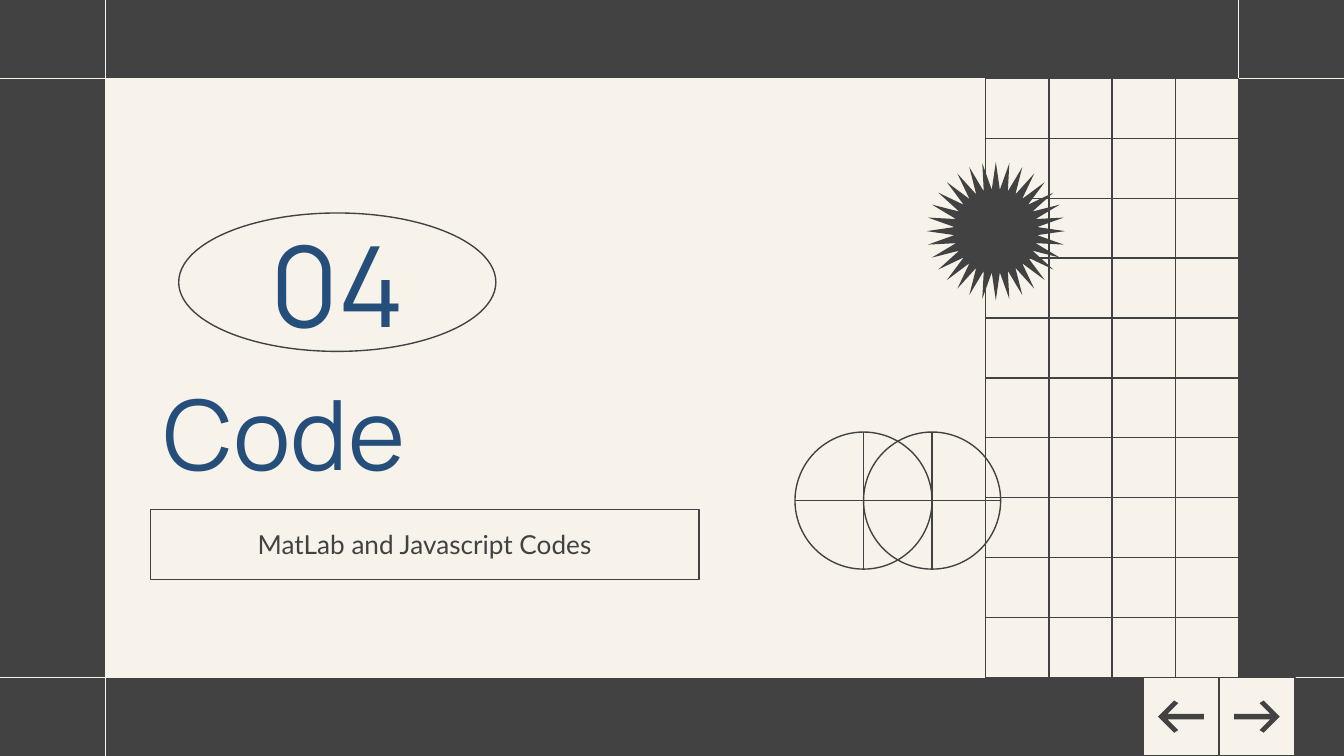
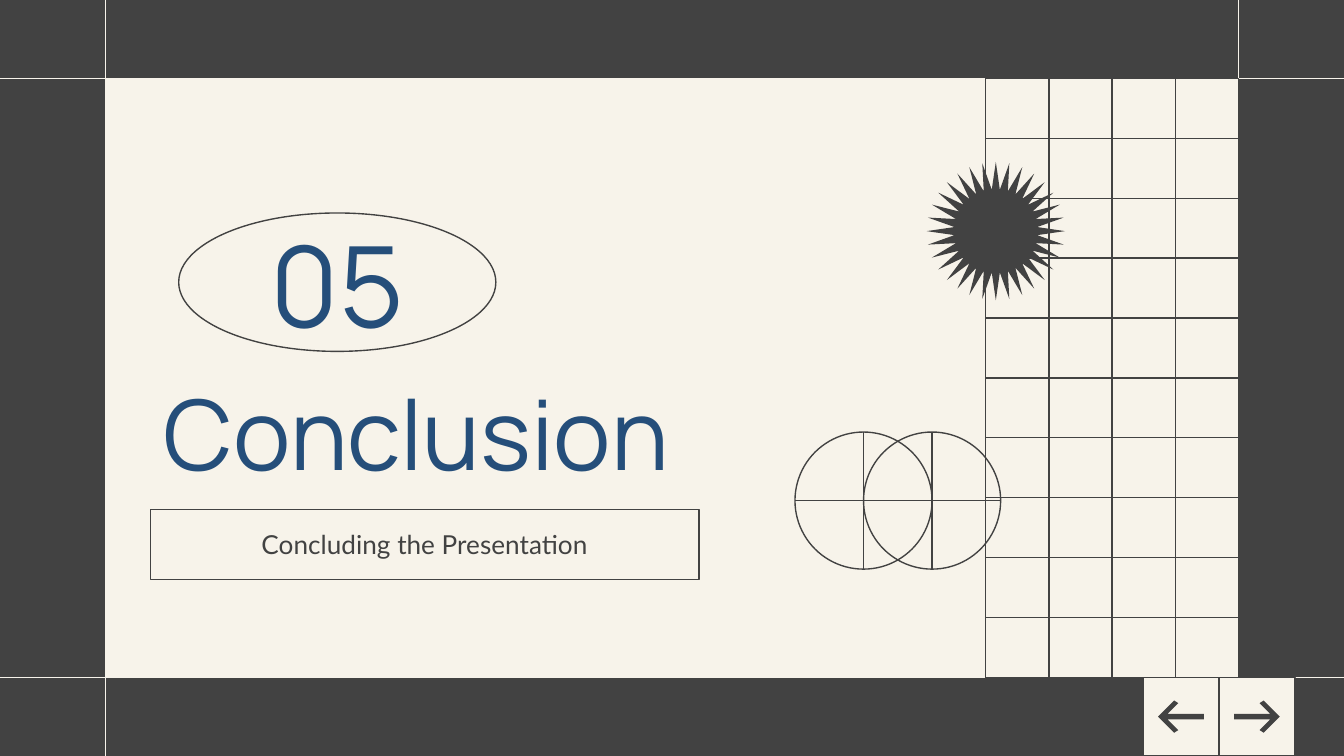
import collections
import dataclasses

import pptx
import pptx.dml.color
import pptx.enum.shapes
import pptx.enum.text
import pptx.oxml
import pptx.oxml.ns
import pptx.util

Inches = pptx.util.Inches
Shape = pptx.enum.shapes.MSO_SHAPE
Align = pptx.enum.text.PP_ALIGN
Box = collections.namedtuple("Box", "left top width height")


@dataclasses.dataclass(frozen=True)
class Theme:
    dark: str = "424242"
    cream: str = "F7F3EA"
    blue: str = "254E7A"
    heading_font: str = "Manrope"
    body_font: str = "Lato"
    number_size: int = 60
    title_size: int = 52
    subtitle_size: int = 14
    line_width: float = 0.75


THEME = Theme()
PAGE = Box(0, 0, 10, 5.625)
PANEL = Box(0.785, 0.585, 8.43, 4.455)
SECTIONS = [
    ("04", "Code", "MatLab and Javascript Codes"),
    ("05", "Conclusion", "Concluding the Presentation"),
]


def color(value):
    return pptx.dml.color.RGBColor.from_string(value)


def inches(box):
    return [Inches(length) for length in box]


def set_line(line, value):
    line.color.rgb = color(value)
    line.width = pptx.util.Pt(THEME.line_width)


def add_figure(shapes, kind, box, fill=None, line=None):
    figure = shapes.add_shape(kind, *inches(box))
    paint(figure, fill, line)
    return figure


def paint(figure, fill=None, line=None):
    figure.shadow.inherit = False
    if fill:
        figure.fill.solid()
        figure.fill.fore_color.rgb = color(fill)
    else:
        figure.fill.background()
    if line:
        set_line(figure.line, line)
    else:
        figure.line.fill.background()


def add_rule(shapes, start, end):
    rule = shapes.add_connector(
        pptx.enum.shapes.MSO_CONNECTOR.STRAIGHT, *inches(start + end))
    set_line(rule.line, THEME.cream)
    rule.element.spPr.append(pptx.oxml.parse_xml(
        "<a:effectLst %s/>" % pptx.oxml.ns.nsdecls("a")))
    return rule


def write(holder, box, text, size, font, ink, align):
    """Place a text holder and give it one middle-anchored line of text."""
    holder.left, holder.top, holder.width, holder.height = inches(box)
    frame = holder.text_frame
    frame.word_wrap = True
    frame.auto_size = pptx.enum.text.MSO_AUTO_SIZE.NONE
    frame.vertical_anchor = pptx.enum.text.MSO_ANCHOR.MIDDLE
    frame.margin_left = frame.margin_right = Inches(0.1)
    frame.margin_top = frame.margin_bottom = Inches(0.1)
    para = frame.paragraphs[0]
    para.alignment = align
    para.space_before = pptx.util.Pt(0)
    span = para.add_run()
    span.text = text
    span.font.size = pptx.util.Pt(size)
    span.font.name = font
    span.font.color.rgb = color(ink)


def add_frame(layout, page, panel):
    """Draw the panel and its crossing rules, then hand them to the layout."""
    parts = [add_figure(page.shapes, Shape.RECTANGLE, panel, THEME.cream)]
    for x in (panel.left, panel.left + panel.width):
        parts.append(add_rule(page.shapes, (x, 0), (x, PAGE.height)))
    for y in (panel.top + panel.height, panel.top):
        parts.append(add_rule(page.shapes, (0, y), (PAGE.width, y)))
    for index, part in enumerate(parts):
        part.element.xpath(".//p:cNvPr")[0].set("id", str(100 + index))
        layout.shapes.element.insert(2 + index, part.element)


def add_grid(page, box, rows, columns):
    cells = page.shapes.add_group_shape().shapes
    width, height = box.width / columns, box.height / rows
    for row in range(rows):
        for column in range(columns):
            cell = Box(box.left + column * width, box.top + row * height, width, height)
            add_figure(cells, Shape.RECTANGLE, cell, line=THEME.dark)


def add_number(page, box, number):
    add_figure(page.shapes, Shape.OVAL, box, THEME.cream, THEME.dark)
    area = Box(box.left + 0.19, box.top + 0.19, box.width - 0.38, box.height - 0.37)
    write(page.shapes.add_textbox(*inches(area)), area, number,
          THEME.number_size, THEME.heading_font, THEME.blue, Align.CENTER)


def add_heading(page, box, title, subtitle):
    write(page.shapes.title, Box(box.left, box.top, box.width, 0.92), title,
          THEME.title_size, THEME.heading_font, THEME.blue, Align.LEFT)
    label = page.placeholders[1]
    write(label, Box(box.left, box.top + 1.04, 4.08, 0.52), subtitle,
          THEME.subtitle_size, THEME.body_font, THEME.dark, Align.CENTER)
    set_line(label.line, THEME.dark)


def add_ornaments(page, box):
    """Put a star at the top right and two overlapping circles at the bottom."""
    star = add_figure(page.shapes, Shape.STAR_32_POINT,
                      Box(box.left + 0.98, box.top, 1.03, 1.03), THEME.dark)
    star.adjustments[0] = 0.3
    circles = page.shapes.add_group_shape().shapes
    size = 1.02
    for index in range(2):
        circle = Box(box.left + index * size / 2, box.top + box.height - size, size, size)
        add_figure(circles, Shape.FLOWCHART_OR, circle, line=THEME.dark)


def add_arrow_button(page, box, direction):
    """Draw a button whose arrow points right (1) or left (-1)."""
    add_figure(page.shapes, Shape.RECTANGLE, box, THEME.cream, THEME.dark)
    center_x, center_y = box.left + box.width / 2, box.top + box.height / 2
    upper = [(-0.17, -0.02), (0.1, -0.02), (0.02, -0.1), (0.05, -0.12)]
    lower = [(x, -y) for x, y in reversed(upper)]
    outline = [(Inches(center_x + direction * x), Inches(center_y + y))
               for x, y in upper + [(0.17, 0)] + lower]
    builder = page.shapes.build_freeform(*outline[0])
    builder.add_line_segments(outline[1:], close=True)
    paint(builder.convert_to_shape(), THEME.dark)


def add_navigation(page, box):
    width = box.width / 2
    for index, direction in ((1, 1), (0, -1)):
        button = Box(box.left + index * width, box.top, width, box.height)
        add_arrow_button(page, button, direction)


def fill_section(page, panel, number, title, subtitle):
    left, top = panel.left, panel.top
    right, bottom = left + panel.width, top + panel.height
    add_grid(page, Box(right - 1.88, top, 1.88, panel.height * 1.1), 11, 4)
    add_number(page, Box(left + 0.545, top + 1, 2.36, 1.03), number)
    add_heading(page, Box(left + 0.335, top + 2.165, 4.74, 1.56), title, subtitle)
    add_ornaments(page, Box(right - 3.3, top + 0.62, 2.01, 3.03))
    add_navigation(page, Box(right - 0.71, bottom, 1.13, PAGE.height - bottom))


def main():
    deck = pptx.Presentation()
    deck.slide_width, deck.slide_height = Inches(PAGE.width), Inches(PAGE.height)
    layout = deck.slide_layouts[0]
    layout.background.fill.solid()
    layout.background.fill.fore_color.rgb = color(THEME.dark)
    pages = [deck.slides.add_slide(layout) for _ in SECTIONS]
    add_frame(layout, pages[0], PANEL)
    for page, section in zip(pages, SECTIONS):
        fill_section(page, PANEL, *section)
    deck.save("out.pptx")


if __name__ == "__main__":
    main()
